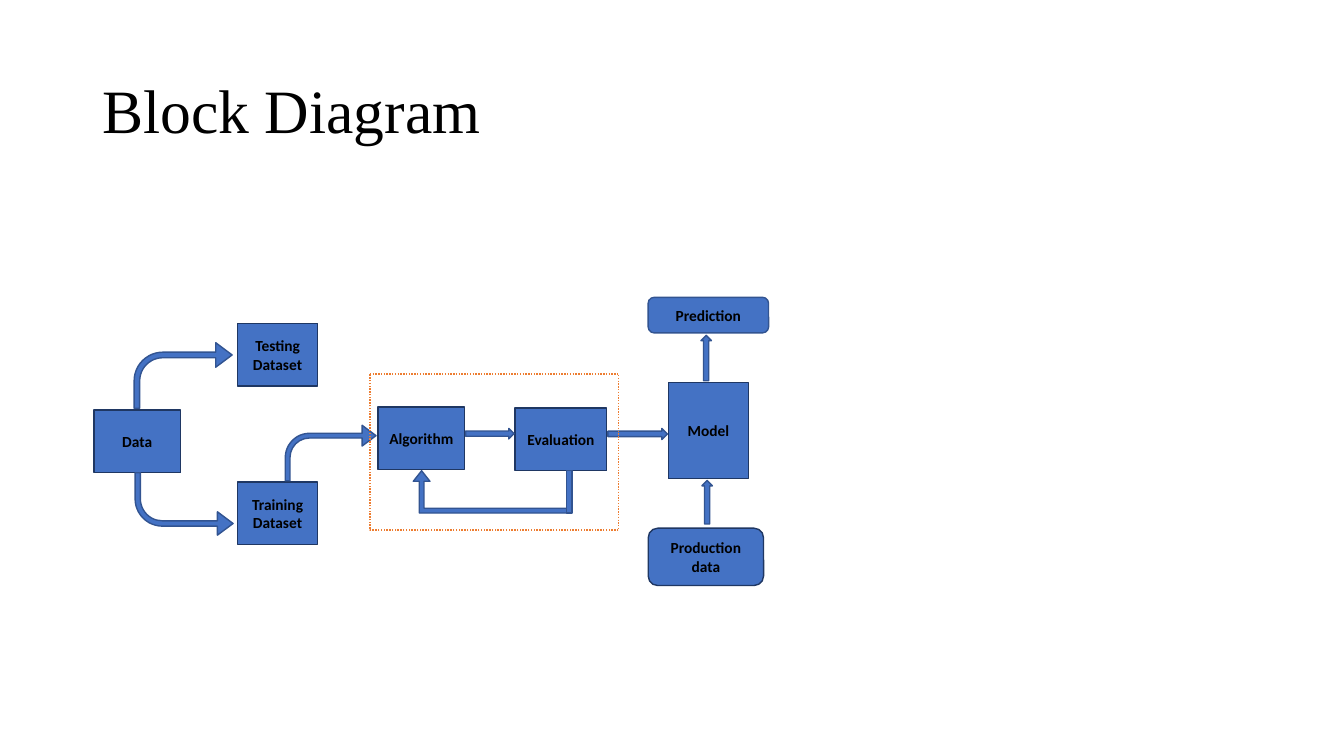
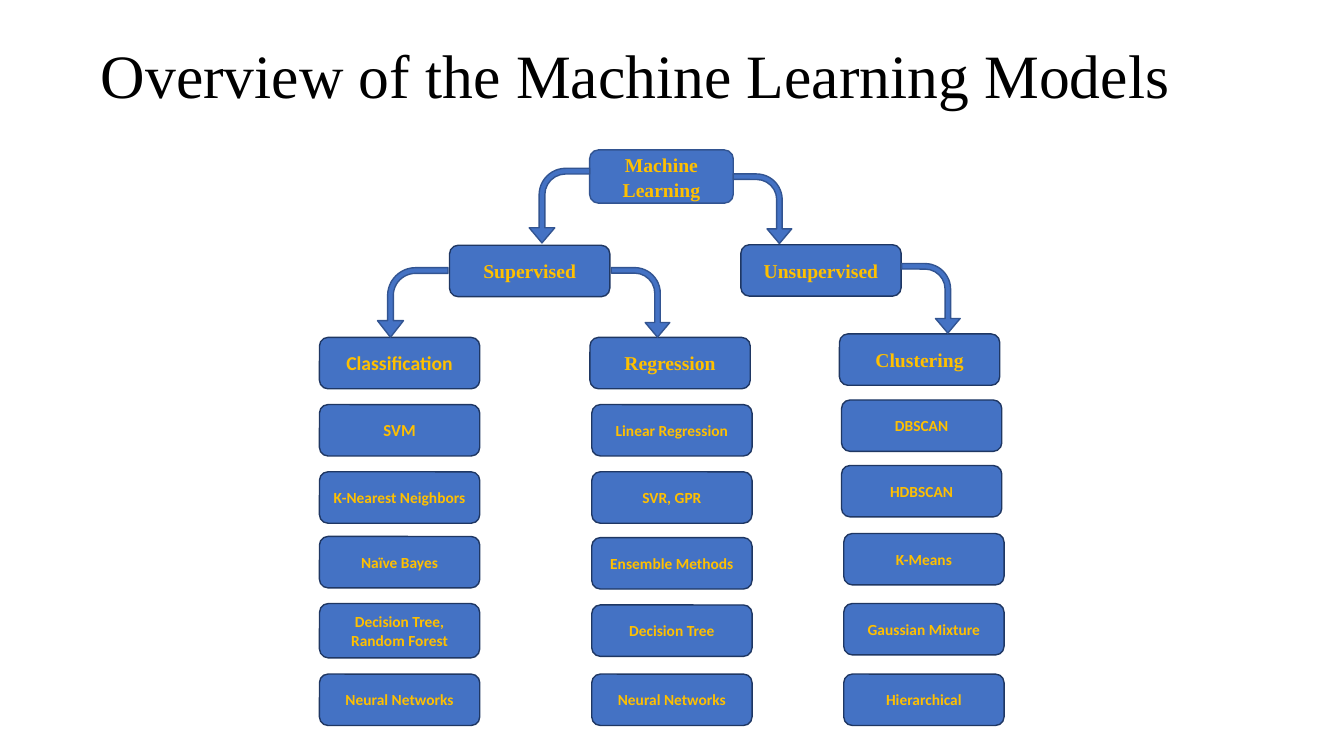
"""Build two slides: a block diagram and an overview of machine learning models."""
from dataclasses import dataclass

from pptx import Presentation
from pptx.dml.color import RGBColor
from pptx.enum.dml import MSO_LINE
from pptx.enum.shapes import MSO_SHAPE as Preset
from pptx.enum.text import MSO_ANCHOR as Anchor, MSO_AUTO_SIZE as AutoSize, PP_ALIGN as Align
from pptx.presentation import Presentation as Deck
from pptx.shapes.autoshape import Shape
from pptx.slide import Slide
from pptx.text.text import TextFrame
from pptx.util import Pt

COLORS = {
    "fill": "4472C4",
    "box_line": "1F3763",
    "arrow_line": "325491",
    "frame_line": "ED7D31",
    "black": "000000",
    "gold": "FFC000",
}
SERIF = "Times New Roman"
SANS = "Calibri"
TITLE_ONLY = 5
BEND = (0.085, 0.187, 0.25, 0.438)
TREE_BEND = (0.094, 0.211, 0.25, 0.438)
NODE_WIDTH, NODE_HEIGHT = 114.5, 36.7


@dataclass(frozen=True)
class Area:
    left: float
    top: float
    width: float
    height: float


@dataclass(frozen=True)
class Box:
    text: str
    area: Area
    preset: Preset = Preset.ROUNDED_RECTANGLE
    size: float = 11
    font: str = SANS
    color: str = "black"
    line: str = "box_line"
    spaced: bool = False


@dataclass(frozen=True)
class Arrow:
    preset: Preset
    area: Area
    adjust: tuple[float, ...] = ()
    rotation: float = 0
    flipped: bool = False


@dataclass(frozen=True)
class Column:
    left: float
    step_lefts: tuple[float, ...]
    tops: tuple[float, ...]
    models: tuple[str, ...]


def rgb(name: str) -> RGBColor:
    """Look up a colour by its name."""
    return RGBColor.from_string(COLORS[name])


def write(frame: TextFrame, text: str, font: str, size: float, color: str, bold: bool, align: Align) -> None:
    """Write one formatted run, centred vertically."""
    frame.word_wrap = True
    frame.auto_size = AutoSize.NONE
    frame.vertical_anchor = Anchor.MIDDLE
    para = frame.paragraphs[0]
    para.alignment = align
    span = para.add_run()
    span.text = text
    span.font.name = font
    span.font.size = Pt(size)
    span.font.bold = bold
    span.font.color.rgb = rgb(color)


def add_page(deck: Deck, title: str, area: Area) -> Slide:
    """Add a page with a styled title."""
    page = deck.slides.add_slide(deck.slide_layouts[TITLE_ONLY])
    holder = page.shapes.title
    holder.left, holder.top = Pt(area.left), Pt(area.top)
    holder.width, holder.height = Pt(area.width), Pt(area.height)
    write(holder.text_frame, title, SERIF, 44, "black", False, Align.LEFT)
    holder.text_frame.paragraphs[0].line_spacing = 0.9
    return page


def add_block(page: Slide, preset: Preset, area: Area, line: str, filled: bool = True) -> Shape:
    """Add a flat outlined preset shape."""
    shape = page.shapes.add_shape(preset, Pt(area.left), Pt(area.top), Pt(area.width), Pt(area.height))
    shape.shadow.inherit = False
    if filled:
        shape.fill.solid()
        shape.fill.fore_color.rgb = rgb("fill")
    else:
        shape.fill.background()
    shape.line.color.rgb = rgb(line)
    shape.line.width = Pt(1)
    return shape


def draw_box(page: Slide, box: Box) -> None:
    """Draw a labelled box."""
    frame = add_block(page, box.preset, box.area, box.line).text_frame
    write(frame, box.text, box.font, box.size, box.color, True, Align.CENTER)
    if box.spaced:
        para = frame.paragraphs[0]
        para.line_spacing = 1.07
        para.space_before, para.space_after = Pt(10), Pt(8)


def draw_arrow(page: Slide, arrow: Arrow) -> None:
    """Draw a block arrow, turned and flipped as needed."""
    shape = add_block(page, arrow.preset, arrow.area, "arrow_line")
    for index, value in enumerate(arrow.adjust):
        shape.adjustments[index] = value
    shape.rotation = arrow.rotation
    if arrow.flipped:
        shape.element.spPr.xfrm.set("flipV", "1")


def build_block_diagram(deck: Deck) -> None:
    """Build the pipeline from data to prediction."""
    page = add_page(deck, "Block Diagram", Area(66, 29, 828, 104.4))
    process = Preset.FLOWCHART_PROCESS
    boxes = (
        Box("Data", Area(67, 293, 62, 44.6), process),
        Box("Testing Dataset", Area(169.7, 231, 57.2, 44.6), process),
        Box("Training Dataset", Area(169.7, 344.2, 57.2, 44.6), process),
        Box("Algorithm", Area(270, 290.7, 62, 44.6), process),
        Box("Evaluation", Area(367.9, 291.5, 65.5, 44.6), process),
        Box("Model", Area(477.4, 273.3, 57.2, 68.6), process),
        Box("Production data", Area(463, 377.3, 82.4, 41)),
        Box("Prediction", Area(463, 212.4, 86, 25.4), line="arrow_line", spaced=True),
    )
    arrows = (
        Arrow(Preset.BENT_ARROW, Area(95.8, 244.8, 70, 46.8), BEND),
        Arrow(Preset.BENT_ARROW, Area(96.5, 337.7, 70, 44.6), BEND, flipped=True),
        Arrow(Preset.BENT_ARROW, Area(203.8, 303.8, 64.8, 39.6), BEND),
        Arrow(Preset.RIGHT_ARROW, Area(332.6, 306, 34.6, 7.5)),
        Arrow(Preset.BENT_UP_ARROW, Area(295.2, 336.2, 111.6, 30.2), (0.112, 0.197, 0.25), 180, True),
        Arrow(Preset.RECTANGLE, Area(404.6, 336.2, 3.9, 30.2)),
        Arrow(Preset.RIGHT_ARROW, Area(434.2, 306, 42.5, 7.9)),
        Arrow(Preset.RIGHT_ARROW, Area(488.2, 252, 32.4, 7.5), rotation=270),
        Arrow(Preset.RIGHT_ARROW, Area(489.6, 355, 31, 7.5), rotation=270),
    )
    for box in boxes:
        draw_box(page, box)
    for arrow in arrows:
        draw_arrow(page, arrow)
    frame = add_block(page, process, Area(264.2, 267.1, 177.8, 111.6), "frame_line", filled=False)
    frame.line.dash_style = MSO_LINE.ROUND_DOT


def node(text: str, left: float, top: float, size: float = 14, font: str = SERIF,
         height: float = NODE_HEIGHT) -> Box:
    """Describe a box of the model tree."""
    return Box(text, Area(left, top, NODE_WIDTH, height), size=size, font=font, color="gold")


def build_model_overview(deck: Deck) -> None:
    """Build the tree of model families and their methods."""
    page = add_page(deck, "Overview of the Machine Learning Models", Area(64.8, 17.3, 828, 77.8))
    families = (
        Box("Machine Learning", Area(421.2, 107.1, 102.6, 38), size=14, font=SERIF,
            color="gold", line="arrow_line", spaced=True),
        node("Supervised", 321.1, 175.2),
        node("Unsupervised", 529.2, 174.8),
        node("Classification", 228.2, 241, font=SANS),
        node("Regression", 421.4, 241),
        node("Clustering", 599.6, 238.5),
    )
    columns = (
        Column(228.2, (0, 0, 0, 0, 0), (289, 337, 383.2, 431.1, 481.5),
               ("SVM", "K-Nearest Neighbors", "Naïve Bayes", "Decision Tree, Random Forest",
                "Neural Networks")),
        Column(422.7, (0, 0, 0, 0, 0), (289, 337, 384, 432.1, 481.5),
               ("Linear Regression", "SVR, GPR", "Ensemble Methods", "Decision Tree", "Neural Networks")),
        Column(601.1, (0, 0, 1.6, 1.6, 1.6), (285.7, 332.5, 381.1, 431.1, 481.5),
               ("DBSCAN", "HDBSCAN", "K-Means", "Gaussian Mixture", "Hierarchical")),
    )
    bent = Preset.BENT_ARROW
    arrows = (
        Arrow(bent, Area(519.8, 128.2, 49.7, 41.8), TREE_BEND, 90),
        Arrow(bent, Area(373, 125.3, 53.3, 43.2), TREE_BEND, 90, True),
        Arrow(bent, Area(640.1, 192.2, 49.7, 41.8), TREE_BEND, 90),
        Arrow(bent, Area(432.7, 195.1, 49.7, 41.8), TREE_BEND, 90),
        Arrow(bent, Area(270, 190.8, 49.7, 50.4), (0.082, 0.187, 0.238, 0.401), 90, True),
    )
    for family in families:
        draw_box(page, family)
    for column in columns:
        for model, shift, top in zip(column.models, column.step_lefts, column.tops):
            size = 12 if model == "SVM" else 11
            height = 38.9 if "," in model and "Tree" in model else NODE_HEIGHT
            draw_box(page, node(model, column.left + shift, top, size, SANS, height))
    for arrow in arrows:
        draw_arrow(page, arrow)


def main() -> None:
    """Build and save the deck."""
    deck = Presentation()
    deck.slide_width, deck.slide_height = Pt(960), Pt(540)
    build_block_diagram(deck)
    build_model_overview(deck)
    deck.save("out.pptx")


if __name__ == "__main__":
    main()
